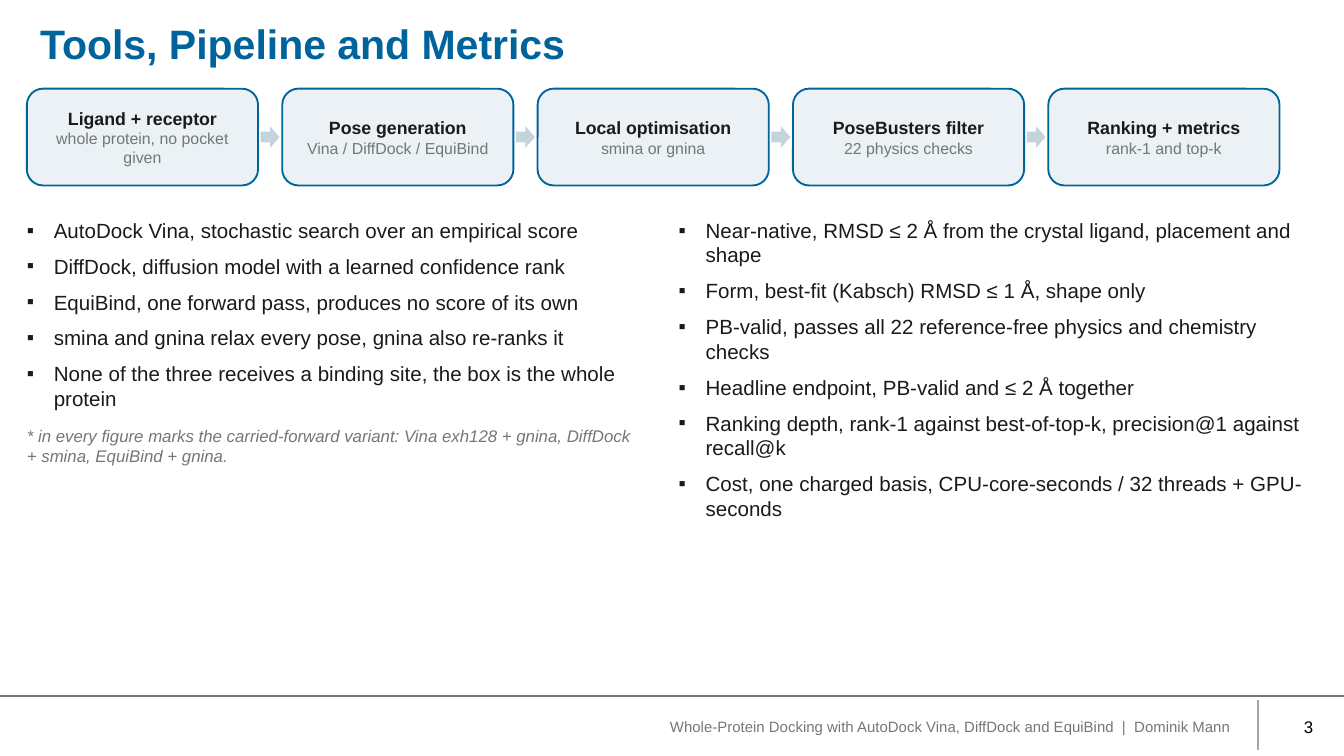
from lxml import etree
from pptx import Presentation
from pptx.dml.color import RGBColor
from pptx.enum.shapes import MSO_CONNECTOR, MSO_SHAPE
from pptx.enum.text import MSO_ANCHOR, PP_ALIGN
from pptx.oxml.ns import qn
from pptx.util import Inches, Pt

TOP, MIDDLE = MSO_ANCHOR.TOP, MSO_ANCHOR.MIDDLE
LEFT, CENTER, RIGHT = PP_ALIGN.LEFT, PP_ALIGN.CENTER, PP_ALIGN.RIGHT
ROUNDED, ARROW = MSO_SHAPE.ROUNDED_RECTANGLE, MSO_SHAPE.RIGHT_ARROW
STRAIGHT = MSO_CONNECTOR.STRAIGHT

FONT = "Arial"
COLORS = {
    "blue": "00649C", "ink": "1A1A1A", "grey": "72777A", "black": "000000",
    "panel": "ECF1F5", "arrow": "C5D3DD", "divider": "A6A6A6",
}

FORMATS = {
    "title": {"size": Pt(22), "bold": True, "color": "blue"},
    "footer": {"size": Pt(8), "color": "grey"},
    "number": {"size": Pt(9), "color": "black"},
    "step": {"size": Pt(9.5), "bold": True, "color": "ink"},
    "detail": {"size": Pt(8.5), "bold": False, "color": "grey"},
    "bullet": {"size": Pt(11), "color": "ink"},
    "note": {"size": Pt(9), "italic": True, "color": "grey"},
}

STEPS = [
    ("Ligand + receptor", "whole protein, no pocket given"),
    ("Pose generation", "Vina / DiffDock / EquiBind"),
    ("Local optimisation", "smina or gnina"),
    ("PoseBusters filter", "22 physics checks"),
    ("Ranking + metrics", "rank-1 and top-k"),
]
TOOLS = [
    "AutoDock Vina, stochastic search over an empirical score",
    "DiffDock, diffusion model with a learned confidence rank",
    "EquiBind, one forward pass, produces no score of its own",
    "smina and gnina relax every pose, gnina also re-ranks it",
    "None of the three receives a binding site, the box is the whole protein",
]
TOOLS_NOTE = ("* in every figure marks the carried-forward variant: "
              "Vina exh128 + gnina, DiffDock + smina, EquiBind + gnina.")
METRICS = [
    "Near-native, RMSD ≤ 2 Å from the crystal ligand, placement and shape",
    "Form, best-fit (Kabsch) RMSD ≤ 1 Å, shape only",
    "PB-valid, passes all 22 reference-free physics and chemistry checks",
    "Headline endpoint, PB-valid and ≤ 2 Å together",
    "Ranking depth, rank-1 against best-of-top-k, precision@1 against recall@k",
    "Cost, one charged basis, CPU-core-seconds / 32 threads + GPU-seconds",
]
FOOTER = ("Whole-Protein Docking with AutoDock Vina, DiffDock and EquiBind"
          "  |  Dominik Mann")


def rgb(name):
    return RGBColor.from_string(COLORS[name])


def set_frame(tf, anchor=TOP, insets=(0.1, 0.05)):
    x, y = (Inches(v) for v in insets)
    values = {"word_wrap": True, "vertical_anchor": anchor,
              "margin_left": x, "margin_right": x,
              "margin_top": y, "margin_bottom": y}
    for name, value in values.items():
        setattr(tf, name, value)


def add_paragraph(tf, text, style, align=LEFT, before=0):
    """Fill the empty first paragraph, or append one with space before it."""
    first = not tf.paragraphs[0].runs
    p = tf.paragraphs[0] if first else tf.add_paragraph()
    p.alignment = align
    if before and not first:
        p.space_before = Pt(before)
    r = p.add_run()
    r.text = text
    r.font.name = FONT
    for name, value in FORMATS[style].items():
        if name == "color":
            r.font.color.rgb = rgb(value)
        else:
            setattr(r.font, name, value)
    return p


def add_bullet(tf, text):
    p = add_paragraph(tf, text, "bullet", before=6)
    pPr = p._p.get_or_add_pPr()
    pPr.set("marL", str(Inches(0.2)))
    pPr.set("indent", str(Inches(-0.2)))
    etree.SubElement(pPr, qn("a:buFont")).set("typeface", FONT)
    etree.SubElement(pPr, qn("a:buChar")).set("char", "▪")


def add_text_box(s, box, **frame):
    tf = s.shapes.add_textbox(*(Inches(v) for v in box)).text_frame
    set_frame(tf, **frame)
    return tf


def add_shape(s, kind, box, fill, line=None):
    sp = s.shapes.add_shape(kind, *(Inches(v) for v in box))
    sp.shadow.inherit = False
    sp.fill.solid()
    sp.fill.fore_color.rgb = rgb(fill)
    if line:
        sp.line.color.rgb = rgb(line)
        sp.line.width = Pt(1)
    else:
        sp.line.fill.background()
    return sp


def add_rule(s, ends, color):
    cxn = s.shapes.add_connector(STRAIGHT, *(Inches(v) for v in ends))
    cxn.line.color.rgb = rgb(color)
    cxn.line.width = Pt(1)
    etree.SubElement(cxn._element.spPr, qn("a:effectLst"))


def add_pipeline(s, left=0.2, top=0.66, width=1.72, height=0.72, gap=0.18):
    arrow_w, arrow_h = 0.14, 0.16
    for i, (step, detail) in enumerate(STEPS):
        x = left + i * (width + gap)
        sp = add_shape(s, ROUNDED, (x, top, width, height), "panel", "blue")
        set_frame(sp.text_frame, MIDDLE, (0.05, 0.02))
        add_paragraph(sp.text_frame, step, "step", CENTER)
        add_paragraph(sp.text_frame, detail, "detail", CENTER)
        # Arrow centred in the gap before each later step
        if i:
            add_shape(s, ARROW, (x - (gap + arrow_w) / 2,
                                 top + (height - arrow_h) / 2,
                                 arrow_w, arrow_h), "arrow")


def add_bullet_column(s, box, items):
    tf = add_text_box(s, box, insets=(0, 0))
    for item in items:
        add_bullet(tf, item)
    return tf


def add_footer(s):
    add_rule(s, (9.36, 5.21, 9.36, 5.58), "divider")
    add_rule(s, (0, 5.18, 10, 5.18), "grey")
    tf = add_text_box(s, (3.05, 5.26, 6.21, 0.3), anchor=MIDDLE)
    add_paragraph(tf, FOOTER, "footer", RIGHT)
    tf = add_text_box(s, (9.34, 5.26, 0.53, 0.3), anchor=MIDDLE)
    add_paragraph(tf, "3", "number", RIGHT)


def main():
    # Widescreen page, 16:9
    prs = Presentation()
    prs.slide_width, prs.slide_height = Inches(10), Inches(10 * 9 / 16)
    s = prs.slides.add_slide(prs.slide_layouts[6])

    # Footer and title
    add_footer(s)
    tf = add_text_box(s, (0.2, 0.13, 9.6, 0.48))
    add_paragraph(tf, "Tools, Pipeline and Metrics", "title").line_spacing = 0.9

    # Pipeline steps
    add_pipeline(s)

    # Tools on the left, metrics on the right
    tf = add_bullet_column(s, (0.2, 1.62, 4.55, 3.35), TOOLS)
    add_paragraph(tf, TOOLS_NOTE, "note", before=8)
    add_bullet_column(s, (5.05, 1.62, 4.75, 3.35), METRICS)

    prs.save("out.pptx")


if __name__ == "__main__":
    main()
